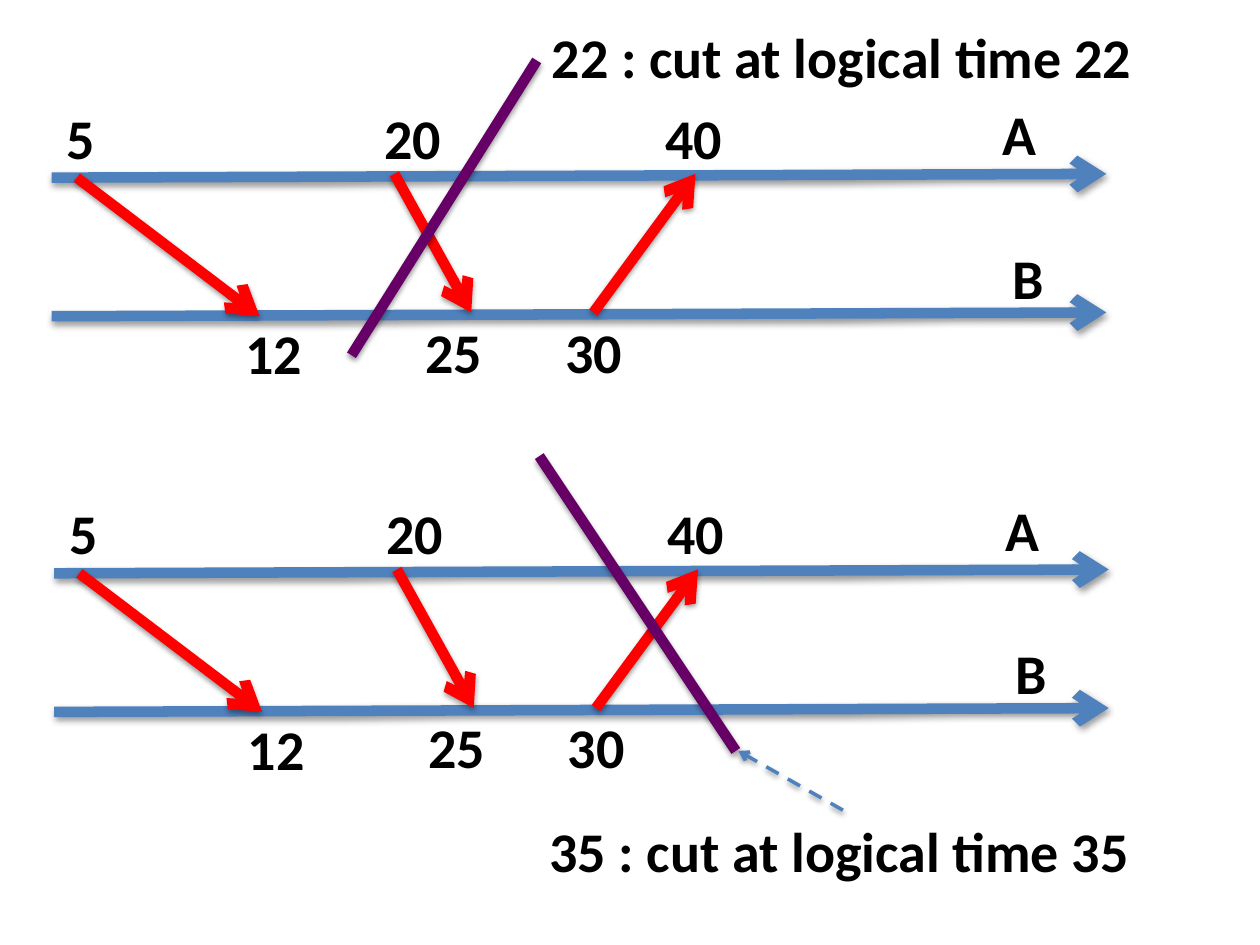
from lxml import etree
from pptx import Presentation
from pptx.dml.color import RGBColor
from pptx.enum.dml import MSO_LINE
from pptx.enum.shapes import MSO_CONNECTOR
from pptx.enum.text import MSO_AUTO_SIZE
from pptx.oxml import parse_xml
from pptx.oxml.ns import qn
from pptx.util import Inches, Pt

STRAIGHT = MSO_CONNECTOR.STRAIGHT
DASH = MSO_LINE.DASH
GROW = MSO_AUTO_SIZE.SHAPE_TO_FIT_TEXT

COLOURS = {"axis": "4F81BD", "message": "FF0000", "cut": "660066", "text": "000000"}
FONT = "Calibri"
LABEL_HEIGHT = 0.64
SHADOW = (
    '<a:effectLst xmlns:a="http://schemas.openxmlformats.org/drawingml/2006/main">'
    '<a:outerShdw blurRad="40000" dist="20000" dir="5400000" rotWithShape="0">'
    '<a:srgbClr val="000000"><a:alpha val="38000"/></a:srgbClr>'
    "</a:outerShdw></a:effectLst>"
)

PROCESS_A, PROCESS_B = 1.38, 2.48
AXIS_START, AXIS_END, AXIS_DROP = 0.41, 8.78, 0.03
MESSAGES = [
    ((0.61, PROCESS_A + AXIS_DROP), (2.06, PROCESS_B + AXIS_DROP)),
    ((3.13, PROCESS_A), (3.74, PROCESS_B)),
    ((4.71, PROCESS_B), (5.52, PROCESS_A)),
]
LABELS = [
    ("A", 7.86, 0.74, 0.47),
    ("B", 7.94, 1.88, 0.45),
    ("5", 0.43, 0.77, 0.43),
    ("12", 1.85, 2.48, 0.66),
    ("20", 2.95, 0.77, 0.66),
    ("25", 3.28, 2.47, 0.66),
    ("30", 4.39, 2.47, 0.66),
    ("40", 5.18, 0.77, 0.66),
]
DIAGRAMS = [
    ((0, 0), (4.26, 0.48), (2.79, 2.82)),
    ((0.02, 3.14), (4.28, 3.62), (5.84, 5.96)),
]
CAPTIONS = [
    ("22 : cut at logical time 22", 4.28, 0.13, 4.85),
    ("35 : cut at logical time 35", 4.26, 6.43, 4.85),
]


def add_line(slide, start, end, colour, width=6, arrow=True, dash=None):
    """Draw a shadowed straight line, with an optional arrowhead at its end."""
    connector = slide.shapes.add_connector(
        STRAIGHT, *(Inches(value) for value in (*start, *end))
    )
    line = connector.line
    line.color.rgb = RGBColor.from_string(COLOURS[colour])
    line.width = Pt(width)
    if dash is not None:
        line.dash_style = dash
    properties = connector._element.spPr
    if arrow:
        outline = properties.find(qn("a:ln"))
        etree.SubElement(outline, qn("a:tailEnd"), type="arrow")
    properties.append(parse_xml(SHADOW))


def add_label(slide, text, left, top, width):
    """Place one bold line of text."""
    box = slide.shapes.add_textbox(
        *(Inches(value) for value in (left, top, width, LABEL_HEIGHT))
    )
    frame = box.text_frame
    frame.word_wrap = False
    frame.auto_size = GROW
    run = frame.paragraphs[0].add_run()
    run.text = text
    run.font.name = FONT
    run.font.size = Pt(32)
    run.font.bold = True
    run.font.color.rgb = RGBColor.from_string(COLOURS["text"])


def add_diagram(slide, offset, cut_start, cut_end):
    """Draw two process timelines, their messages and time labels, and a cut."""
    across, down = offset

    def shift(point):
        """Move a point by the offset of the diagram."""
        return point[0] + across, point[1] + down

    for height in (PROCESS_A, PROCESS_B):
        start, end = (AXIS_START, height + AXIS_DROP), (AXIS_END, height)
        add_line(slide, shift(start), shift(end), "axis")
    for start, end in MESSAGES:
        add_line(slide, shift(start), shift(end), "message")
    for text, left, top, width in LABELS:
        add_label(slide, text, *shift((left, top)), width)
    add_line(slide, cut_start, cut_end, "cut", arrow=False)


def main():
    """Build the slide of logical time cuts and save it."""
    presentation = Presentation()
    presentation.slide_width = Inches(10)
    presentation.slide_height = Inches(7.5)
    slide = presentation.slides.add_slide(presentation.slide_layouts[6])
    for diagram in DIAGRAMS:
        add_diagram(slide, *diagram)
    for caption in CAPTIONS:
        add_label(slide, *caption)
    add_line(slide, (6.69, 6.43), (5.86, 5.96), "axis", width=2, dash=DASH)
    presentation.save("out.pptx")


if __name__ == "__main__":
    main()
